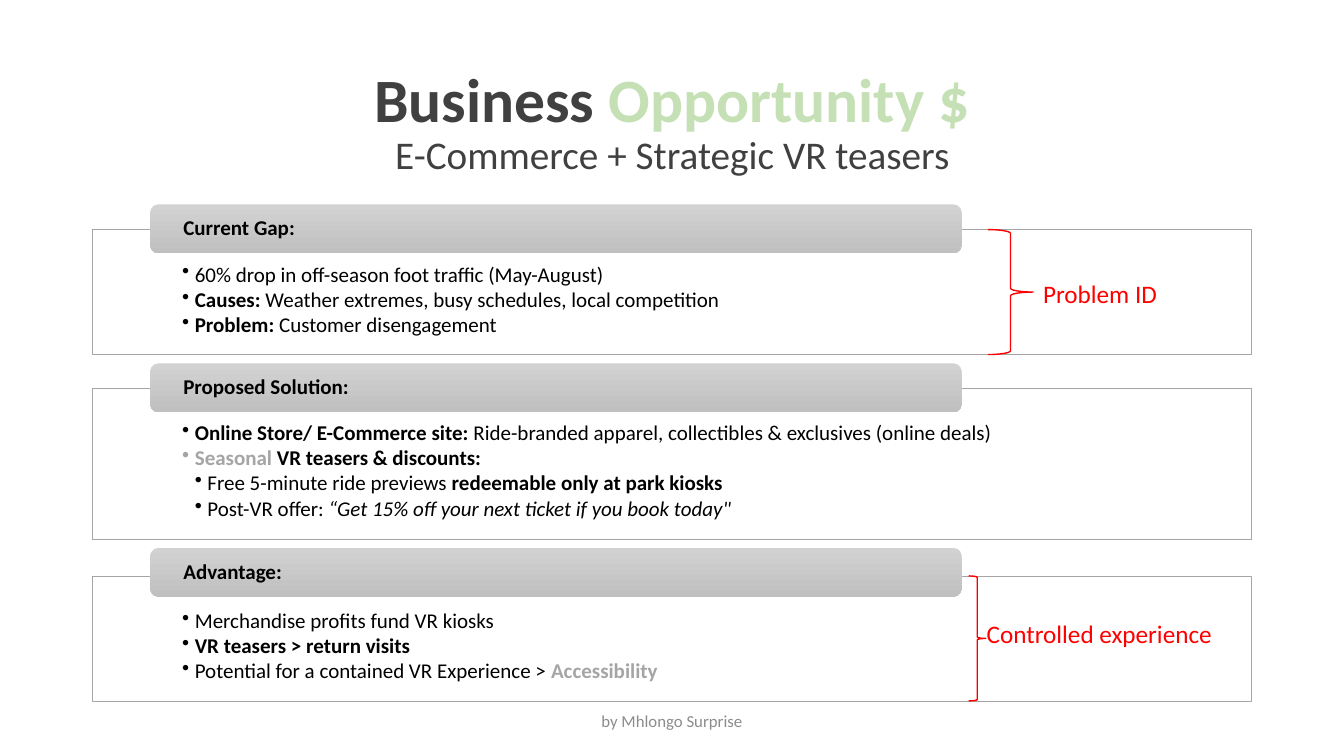
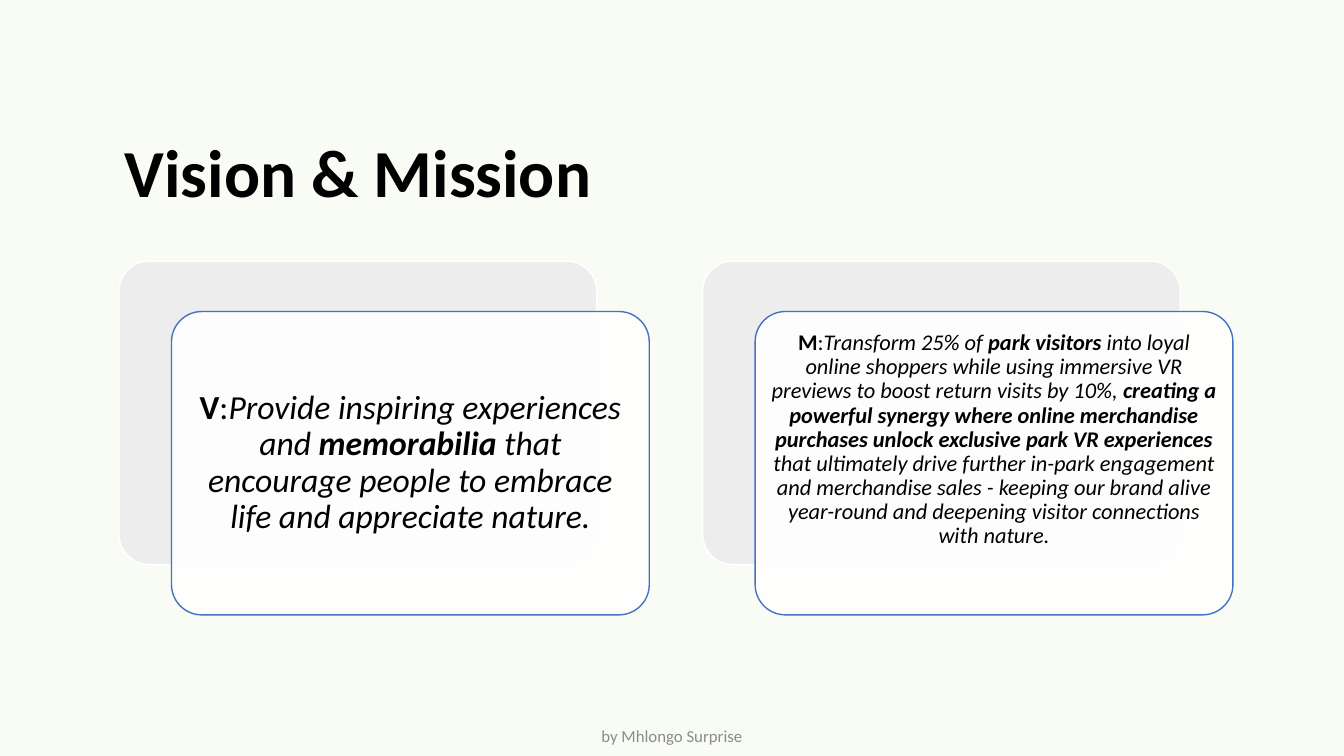
import pptx
import pptx.util
import pptx.dml.color
import pptx.enum.shapes
import pptx.enum.text
import pptx.oxml.ns
import lxml.etree
from dataclasses import dataclass

Pt = pptx.util.Pt
KIND = pptx.enum.shapes.MSO_SHAPE
ALIGN = pptx.enum.text.PP_ALIGN
ANCHOR = pptx.enum.text.MSO_ANCHOR


@dataclass(frozen=True)
class Theme:
    font: str = "Calibri"
    ink: str = "000000"
    dark: str = "404040"
    green: str = "C5E0B4"
    muted: str = "A5A5A5"
    foot: str = "8C8C8C"
    red: str = "FF0000"
    blue: str = "4472C4"
    white: str = "FFFFFF"
    pale: str = "EDEDED"
    mint: str = "F8FCF4"
    bar: tuple = ("D2D2D2", "C0C0C0")
    hero: int = 48
    head: int = 44
    sub: int = 28
    note: int = 18
    body: int = 15
    small: int = 12


T = Theme()
FOOTER = "by Mhlongo Surprise"

PANELS = [
    dict(title="Current Gap:", lead=18, high=89.3, lines=[
        (0, [("60% drop in off-season foot traffic (May-August)", "")]),
        (0, [("Causes:", "b"), (" Weather extremes, busy schedules, local competition", "")]),
        (0, [("Problem:", "b"), (" Customer disengagement", "")]),
    ], brace=(705.6, 32.4), note=("Problem ID", 738, 31, 102)),
    dict(title="Proposed Solution:", lead=17.5, high=108, lines=[
        (0, [("Online Store/ E-Commerce site:", "b"),
             (" Ride-branded apparel, collectibles & exclusives (online deals)", "")]),
        (0, [("Seasonal", "bm"), (" VR teasers & discounts:", "b")]),
        (1, [("Free 5-minute ride previews ", ""), ("redeemable only at park kiosks", "b")]),
        (1, [("Post-VR offer: ", ""),
             ("“Get 15% off your next ticket if you book today\"", "i")]),
    ]),
    dict(title="Advantage:", lead=20, high=89.3, lines=[
        (0, [("Merchandise profits fund VR kiosks", "")]),
        (0, [("VR teasers > return visits", "b")]),
        (0, [("Potential for a contained VR Experience > ", ""), ("Accessibility", "bm")]),
    ], brace=(692, 12.2), note=("Controlled experience", 697.7, 27, 188)),
]

CARDS = [
    dict(size=24, pad=(7, 7, 7, 7), runs=[
        ("V", "b"), (":", ""), ("Provide inspiring experiences and ", "i"),
        ("memorabilia", "bi"),
        (" that encourage people to embrace life and appreciate nature.", "i")]),
    dict(size=16, pad=(5, 5, 5, 38), runs=[
        ("M", "b"), (":", ""), ("Transform 25% of ", "i"), ("park visitors ", "bi"),
        ("into loyal online shoppers while using immersive VR previews"
         " to boost return visits by 10%, ", "i"),
        ("creating a powerful synergy where online merchandise purchases"
         " unlock exclusive park VR experiences ", "bi"),
        ("that ultimately drive further in-park engagement and merchandise sales"
         " - keeping our brand alive year-round and deepening visitor connections"
         " with nature.", "i")]),
]


def rgb(code):
    return pptx.dml.color.RGBColor.from_string(code)


def child(node, tag, **attrs):
    return lxml.etree.SubElement(node, pptx.oxml.ns.qn(tag), attrs)


def write(para, text, size, color=T.ink, marks=""):
    run = para.add_run()
    run.text = text
    font = run.font
    font.name, font.size = T.font, Pt(size)
    font.bold, font.italic = "b" in marks, "i" in marks
    font.color.rgb = rgb(T.muted if "m" in marks else color)


def frame(shape, anchor=ANCHOR.MIDDLE, pad=(7.2, 3.6, 7.2, 3.6), wrap=True):
    tf = shape.text_frame
    tf.word_wrap, tf.vertical_anchor = wrap, anchor
    tf.margin_left, tf.margin_top, tf.margin_right, tf.margin_bottom = map(Pt, pad)
    return tf


def style(para, align=ALIGN.LEFT, space=0.9, after=0):
    para.alignment, para.line_spacing, para.space_after = align, space, Pt(after)
    return para


def label(slide, box, align=ALIGN.LEFT, space=0.9, **opts):
    tf = frame(slide.shapes.add_textbox(*map(Pt, box)), **opts)
    return style(tf.paragraphs[0], align, space)


def draw(slide, kind, box, fill=None, line=None, width=1, alpha=None):
    shape = slide.shapes.add_shape(kind, *map(Pt, box))
    shape.shadow.inherit = False
    if isinstance(fill, tuple):
        shape.fill.gradient()
        shape.fill.gradient_angle = 270
        for stop, code in zip(shape.fill.gradient_stops, fill):
            stop.color.rgb = rgb(code)
    elif fill:
        shape.fill.solid()
        shape.fill.fore_color.rgb = rgb(fill)
        if alpha:
            solid = shape.fill._xPr.find(pptx.oxml.ns.qn("a:solidFill"))
            child(solid[0], "a:alpha", val=str(alpha * 1000))
    else:
        shape.fill.background()
    if line:
        shape.line.color.rgb = rgb(line)
        shape.line.width = Pt(width)
    else:
        shape.line.fill.background()
    return shape


def bullet(para, level):
    props = para._p.get_or_add_pPr()
    props.set("marL", str(Pt(9 * (level + 1))))
    props.set("indent", str(-Pt(9)))
    child(props, "a:buChar", char="•")


def start(deck, back, foot):
    slide = deck.slides.add_slide(deck.slide_layouts[6])
    slide.background.fill.solid()
    slide.background.fill.fore_color.rgb = rgb(back)
    para = label(slide, (318, foot, 324, 28.8), ALIGN.CENTER, 1.0)
    write(para, FOOTER, T.small, T.foot)
    return slide


def panel(slide, item, y):
    top, high = y + item["lead"], item["high"]
    box = draw(slide, KIND.RECTANGLE, (66.2, top, 828, high), T.white, T.muted, 0.5, 90)
    tf = frame(box, ANCHOR.TOP, (64, 24.5, 64, 8.6))
    for n, (level, runs) in enumerate(item["lines"]):
        para = style(tf.add_paragraph() if n else tf.paragraphs[0], after=1.8)
        bullet(para, level)
        for text, marks in runs:
            write(para, text, T.body, marks=marks)
    bar = draw(slide, KIND.ROUNDED_RECTANGLE, (107.3, y, 579.6, 34.8), T.bar)
    para = style(frame(bar, pad=(22, 0, 22, 0)).paragraphs[0])
    write(para, item["title"], T.body, marks="b")
    if "brace" in item:
        left, wide = item["brace"]
        draw(slide, KIND.RIGHT_BRACE, (left, top, wide, high), line=T.red)
        text, left, drop, wide = item["note"]
        para = label(slide, (left, top + drop, wide, 29), space=1.0,
                     anchor=ANCHOR.TOP, wrap=False)
        write(para, text, T.note, T.red)
    return top + high


def chance(deck):
    slide = start(deck, T.white, 500.4)
    para = label(slide, (66.2, 43.9, 828, 89.3), ALIGN.CENTER)
    write(para, "Business ", T.head, T.dark, "b")
    write(para, "Opportunity $", T.head, T.green, "b")
    para.add_line_break()
    write(para, "E-Commerce + Strategic VR teasers", T.sub, T.dark)
    y, gap = 146, 6.3
    for item in PANELS:
        y = panel(slide, item, y) + gap


def vision(deck):
    slide = start(deck, T.mint, 511.2)
    para = label(slide, (82, 64, 801, 122.4))
    write(para, "Vision & Mission", T.hero, marks="b")
    left, top, wide, high, pitch = 85, 186.5, 341.3, 216.7, 416.9
    looks = [(0, 0, T.pale, T.white, None), (37.5, 36, T.white, T.blue, 90)]
    for n, item in enumerate(CARDS):
        for dx, dy, fill, line, alpha in looks:
            box = (left + n * pitch + dx, top + dy, wide, high)
            card = draw(slide, KIND.ROUNDED_RECTANGLE, box, fill, line, alpha=alpha)
            card.adjustments[0] = 0.1
        para = style(frame(card, pad=item["pad"]).paragraphs[0], ALIGN.CENTER)
        for text, marks in item["runs"]:
            write(para, text, item["size"], marks=marks)


def main():
    deck = pptx.Presentation()
    deck.slide_width, deck.slide_height = Pt(960), Pt(540)
    chance(deck)
    vision(deck)
    deck.save("out.pptx")


if __name__ == "__main__":
    main()
